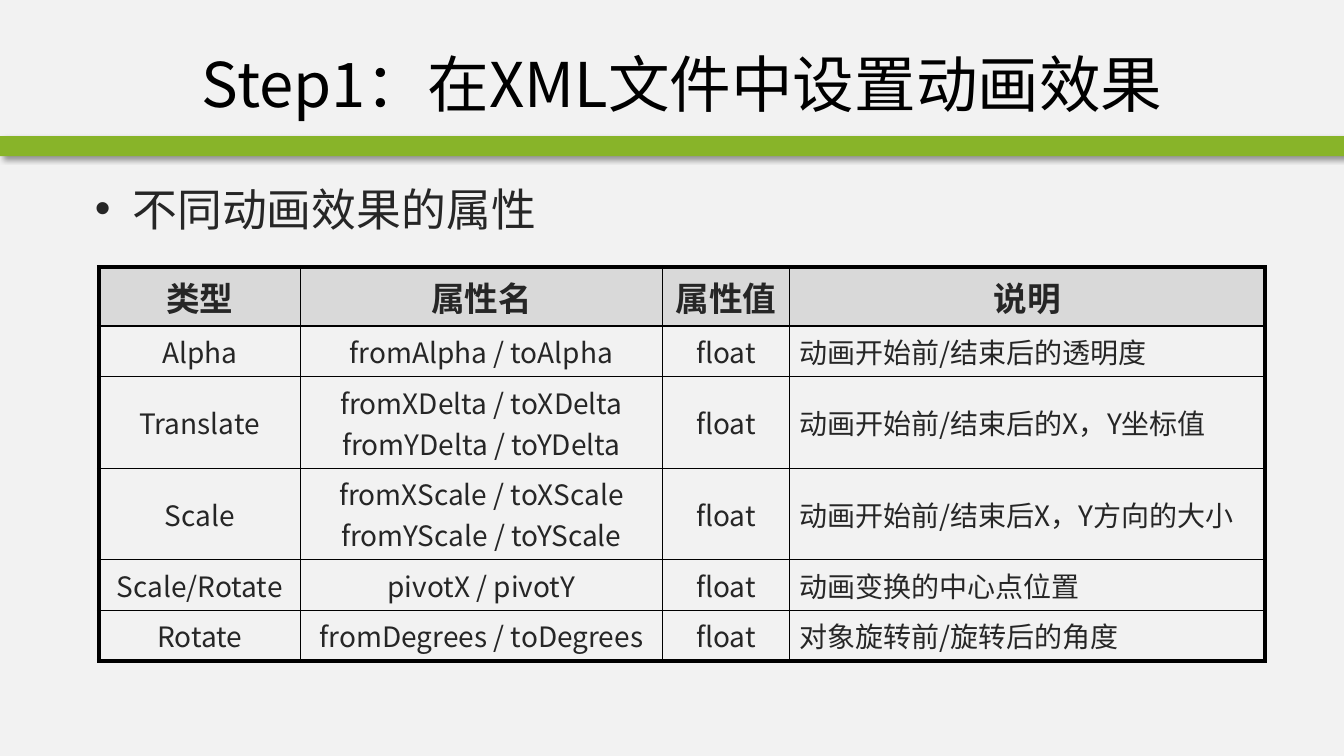
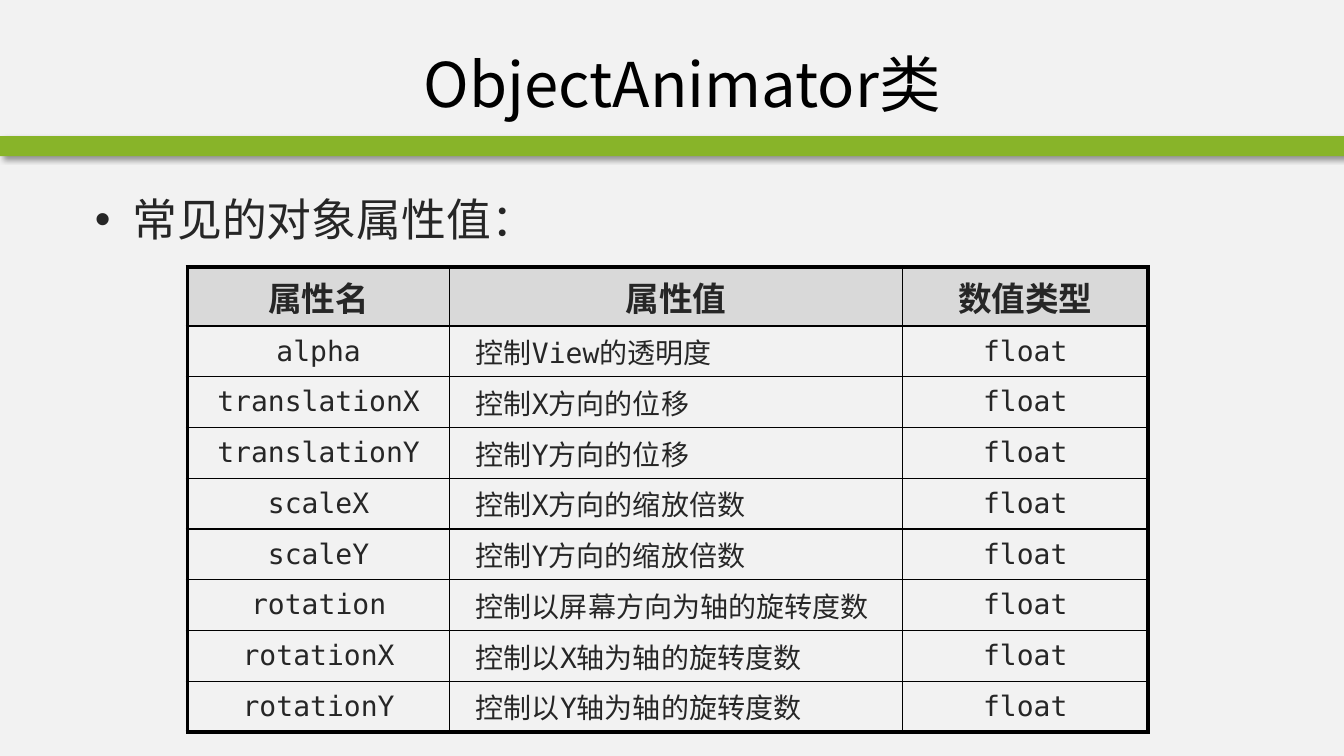
"""Build two slides on animation properties, each with a bullet and a bordered table."""
from lxml import etree
from pptx import Presentation
from pptx.dml.color import RGBColor
from pptx.enum.shapes import MSO_SHAPE
from pptx.enum.text import MSO_ANCHOR, MSO_AUTO_SIZE, PP_ALIGN
from pptx.oxml import parse_xml
from pptx.oxml.ns import nsdecls, qn
from pptx.util import Pt

RECTANGLE = MSO_SHAPE.RECTANGLE
MIDDLE = MSO_ANCHOR.MIDDLE
TOP = MSO_ANCHOR.TOP
NO_AUTOFIT = MSO_AUTO_SIZE.NONE
LEFT = PP_ALIGN.LEFT
CENTER = PP_ALIGN.CENTER

PAPER = RGBColor(0xF2, 0xF2, 0xF2)
GREEN = RGBColor(0x88, 0xB4, 0x29)
BLACK = RGBColor(0, 0, 0)
INK = RGBColor(0x26, 0x26, 0x26)
HEADER_GRAY = RGBColor(0xD9, 0xD9, 0xD9)

SANS = "Noto Sans CJK SC"
MONO = "DejaVu Sans Mono"

SLIDE_WIDTH, SLIDE_HEIGHT = 960, 540
TITLE_BOX = (100, 21.6, 775, 75.6)
BULLET_BOX = (60.5, 126, 834, 50)
BAND_BOX = (0, 97.2, SLIDE_WIDTH, 14.4)
TABLE_TOP = 190.8
HEADER_HEIGHT = 41.5
LINE_HEIGHT, CELL_PADDING = 29, 7.2
THICK, THIN = 3, 1

SLIDES = [
    {
        "title": "Step1：在XML文件中设置动画效果",
        "bullet": "不同动画效果的属性",
        "bullet_spacing": {"space_after": Pt(6)},
        "table_left": 70.6,
        "widths": (144, 258.5, 90.7, 339.8),
        "note_column": 3,
        "note_indent": 0,
        "cell_font": SANS,
        "rows": [
            ("类型", "属性名", "属性值", "说明"),
            ("Alpha", "fromAlpha / toAlpha", "float", "动画开始前/结束后的透明度"),
            ("Translate", "fromXDelta / toXDelta\nfromYDelta / toYDelta", "float",
             "动画开始前/结束后的X，Y坐标值"),
            ("Scale", "fromXScale / toXScale\nfromYScale / toYScale", "float",
             "动画开始前/结束后X，Y方向的大小"),
            ("Scale/Rotate", "pivotX / pivotY", "float", "动画变换的中心点位置"),
            ("Rotate", "fromDegrees / toDegrees", "float", "对象旋转前/旋转后的角度"),
        ],
    },
    {
        "title": "ObjectAnimator类",
        "bullet": "常见的对象属性值：",
        "bullet_spacing": {"line_spacing": 1.2, "space_before": Pt(12), "space_after": Pt(6)},
        "table_left": 134,
        "widths": (187.2, 323.3, 175.7),
        "note_column": 1,
        "note_indent": 11.5,
        "cell_font": MONO,
        "rows": [
            ("属性名", "属性值", "数值类型"),
            ("alpha", "控制View的透明度", "float"),
            ("translationX", "控制X方向的位移", "float"),
            ("translationY", "控制Y方向的位移", "float"),
            ("scaleX", "控制X方向的缩放倍数", "float"),
            ("scaleY", "控制Y方向的缩放倍数", "float"),
            ("rotation", "控制以屏幕方向为轴的旋转度数", "float"),
            ("rotationX", "控制以X轴为轴的旋转度数", "float"),
            ("rotationY", "控制以Y轴为轴的旋转度数", "float"),
        ],
    },
]


def place(shape, box):
    shape.left, shape.top, shape.width, shape.height = map(Pt, box)


def style(paragraph, size, color=INK, latin=SANS, bold=False):
    font = paragraph.font
    font.size, font.bold, font.name = Pt(size), bold, latin
    font.color.rgb = color
    defaults = paragraph._p.pPr.find(qn("a:defRPr"))
    etree.SubElement(defaults, qn("a:ea"), typeface=SANS)


def add_band(slide, layout):
    band = slide.shapes.add_shape(RECTANGLE, *map(Pt, BAND_BOX))
    band.fill.solid()
    band.fill.fore_color.rgb = GREEN
    band.line.fill.background()
    band.element.spPr.append(parse_xml(
        f'<a:effectLst {nsdecls("a")}>'
        f'<a:outerShdw blurRad="{Pt(4)}" dist="{Pt(3)}" dir="2700000" algn="tl" rotWithShape="0">'
        '<a:srgbClr val="000000"><a:alpha val="40000"/></a:srgbClr>'
        '</a:outerShdw></a:effectLst>'))
    band.element.nvSpPr.cNvPr.set("id", "20")
    layout.shapes.element.insert(2, band.element)


def add_borders(cell, widths):
    properties = cell._tc.get_or_add_tcPr()
    for side, width in zip("LRTB", widths):
        properties.append(parse_xml(
            f'<a:ln{side} {nsdecls("a")} w="{Pt(width)}"><a:solidFill>'
            f'<a:srgbClr val="{BLACK}"/></a:solidFill></a:ln{side}>'))


def add_property_table(slide, content):
    rows, widths = content["rows"], content["widths"]
    heights = [HEADER_HEIGHT] + [
        CELL_PADDING + LINE_HEIGHT * (1 + max(text.count("\n") for text in row))
        for row in rows[1:]]
    table = slide.shapes.add_table(
        len(rows), len(widths), Pt(content["table_left"]), Pt(TABLE_TOP),
        Pt(sum(widths)), Pt(sum(heights))).table
    table.first_row = table.horz_banding = False
    for column, width in zip(table.columns, widths):
        column.width = Pt(width)
    for row, height in zip(table.rows, heights):
        row.height = Pt(height)

    last_row, last_column = len(rows) - 1, len(widths) - 1
    for r, texts in enumerate(rows):
        header = r == 0
        for c, text in enumerate(texts):
            cell = table.cell(r, c)
            edges = (c == 0, c == last_column, header, r == last_row)
            add_borders(cell, [THICK if edge else THIN for edge in edges])
            cell.fill.solid()
            cell.fill.fore_color.rgb = HEADER_GRAY if header else PAPER
            cell.vertical_anchor = TOP if header else MIDDLE
            cell.text = text
            note = not header and c == content["note_column"]
            for paragraph in cell.text_frame.paragraphs:
                paragraph.alignment = LEFT if note else CENTER
                if note:
                    paragraph._p.pPr.set("marL", str(Pt(content["note_indent"])))
                if header:
                    style(paragraph, 24, bold=True)
                else:
                    style(paragraph, 20, latin=content["cell_font"])


def add_content_slide(prs, layout, content):
    slide = prs.slides.add_slide(layout)
    title, bullet = slide.placeholders
    for holder, text in ((title, content["title"]), (bullet, content["bullet"])):
        holder.text_frame.text = text
        holder.text_frame.auto_size = NO_AUTOFIT
    heading = title.text_frame.paragraphs[0]
    heading.alignment = CENTER
    style(heading, 44, BLACK)
    point = bullet.text_frame.paragraphs[0]
    for name, value in content["bullet_spacing"].items():
        setattr(point, name, value)
    style(point, 32)
    add_property_table(slide, content)
    return slide


def main():
    prs = Presentation()
    prs.slide_width, prs.slide_height = Pt(SLIDE_WIDTH), Pt(SLIDE_HEIGHT)
    background = prs.slide_master.background.fill
    background.solid()
    background.fore_color.rgb = PAPER
    layout = prs.slide_layouts[1]
    place(layout.placeholders[0], TITLE_BOX)
    place(layout.placeholders[1], BULLET_BOX)
    slides = [add_content_slide(prs, layout, content) for content in SLIDES]
    add_band(slides[0], layout)
    prs.save("out.pptx")


if __name__ == "__main__":
    main()
